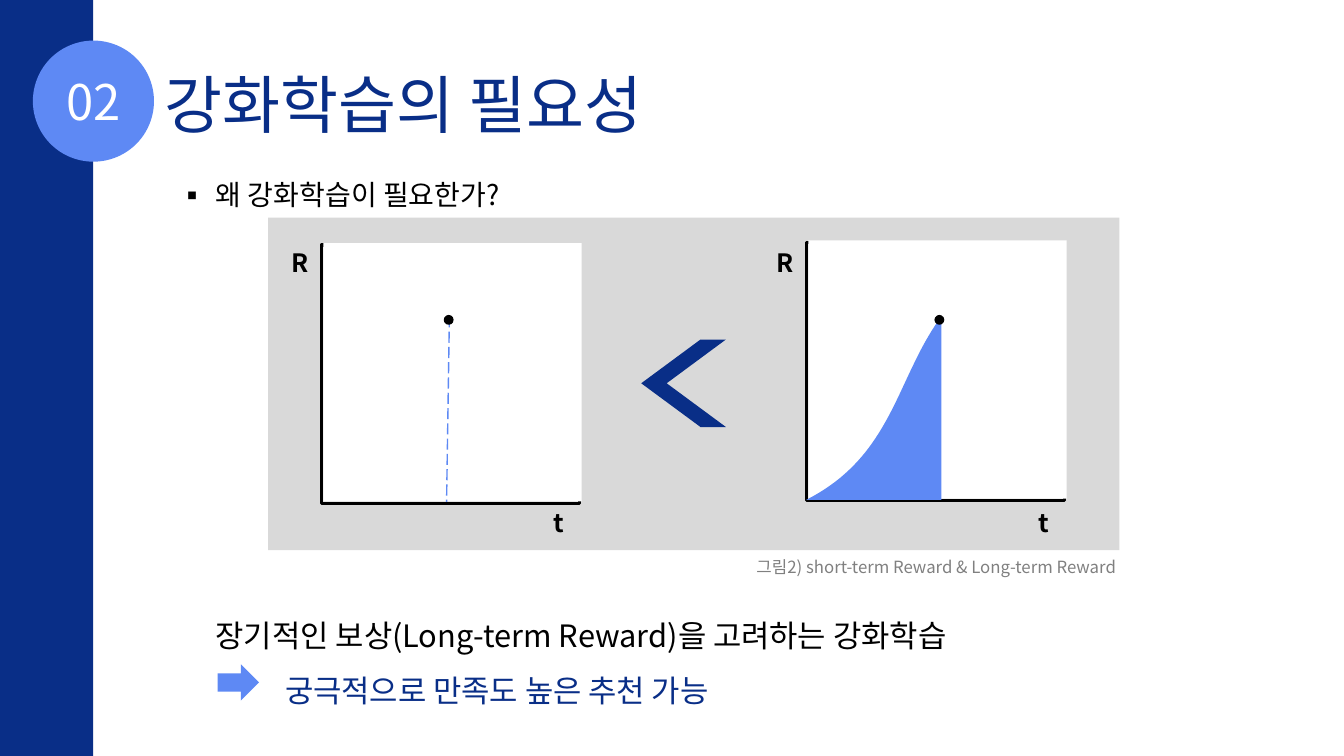
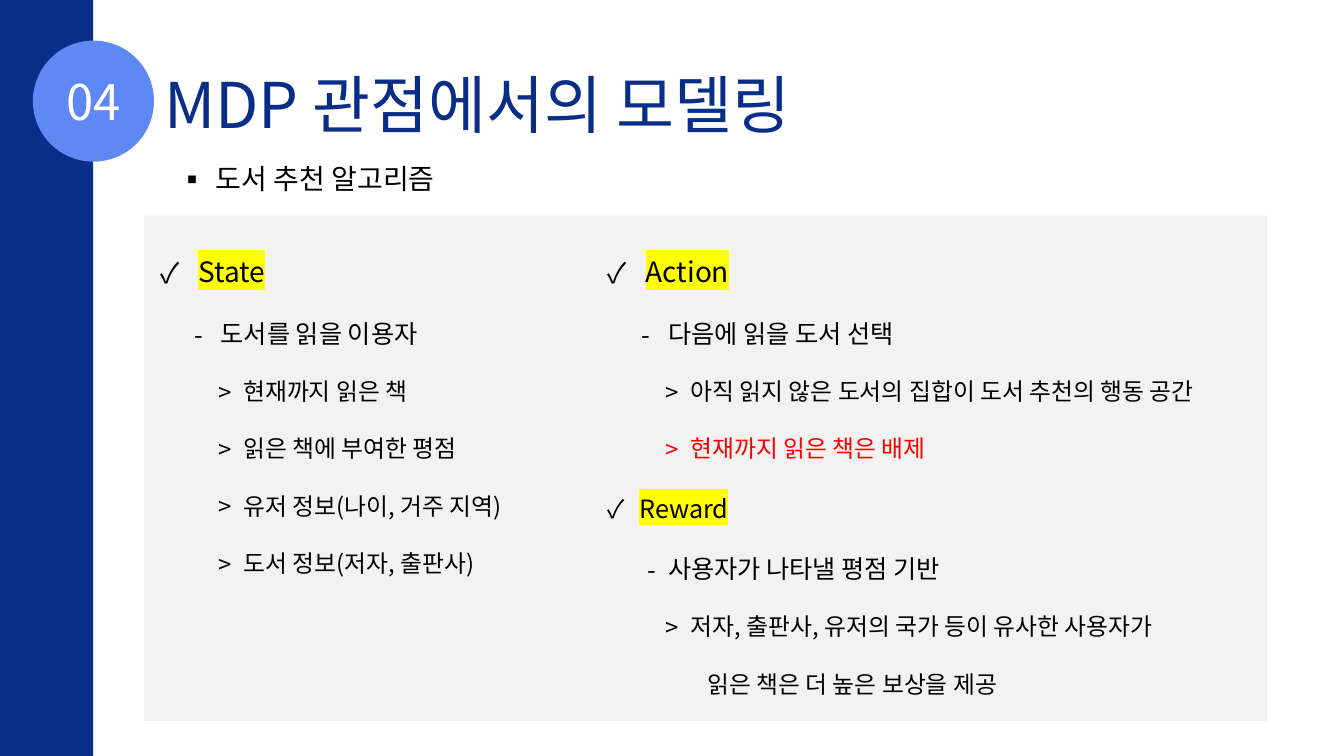
from lxml import etree
from pptx import Presentation
from pptx.dml.color import RGBColor
from pptx.enum.dml import MSO_LINE
from pptx.enum.shapes import MSO_CONNECTOR, MSO_SHAPE
from pptx.enum.text import MSO_ANCHOR, MSO_AUTO_SIZE, PP_ALIGN
from pptx.oxml.ns import qn
from pptx.util import Pt

NAVY = RGBColor(0x09, 0x2E, 0x87)
BLUE = RGBColor(0x5E, 0x89, 0xF4)
WHITE = RGBColor(0xFF, 0xFF, 0xFF)
BLACK = RGBColor(0x00, 0x00, 0x00)
RED = RGBColor(0xFF, 0x00, 0x00)
YELLOW = RGBColor(0xFF, 0xFF, 0x00)
CAPTION_GRAY = RGBColor(0x80, 0x80, 0x80)
FIGURE_GRAY = RGBColor(0xD9, 0xD9, 0xD9)
PANEL_GRAY = RGBColor(0xF2, 0xF2, 0xF2)

RECTANGLE, OVAL = MSO_SHAPE.RECTANGLE, MSO_SHAPE.OVAL
RIGHT_ARROW, CHEVRON = MSO_SHAPE.RIGHT_ARROW, MSO_SHAPE.CHEVRON
LEFT, CENTER, RIGHT = PP_ALIGN.LEFT, PP_ALIGN.CENTER, PP_ALIGN.RIGHT
TOP, MIDDLE = MSO_ANCHOR.TOP, MSO_ANCHOR.MIDDLE
FIXED, GROW = MSO_AUTO_SIZE.NONE, MSO_AUTO_SIZE.SHAPE_TO_FIT_TEXT

FONT = "Noto Sans CJK KR"
SLIDE_WIDTH, SLIDE_HEIGHT = 960, 540
CONTENT_LAYOUT, COMPARISON_LAYOUT = 1, 4

# Paragraph formats of the lists
TOPIC = dict(size=20, bullet="▪", margin=27, hanging=27)
HEADING = dict(size=20, bullet="✓", margin=27, hanging=27, highlight=YELLOW, spacing=2)
SMALL_HEADING = HEADING | dict(size=18, margin=22.5, hanging=22.5)
ITEM = dict(size=18, bullet="-", margin=43, hanging=19, spacing=2)
CLOSE_ITEM = ITEM | dict(hanging=14.5)
DETAIL = dict(size=17, bullet=">", margin=59, hanging=17.5, spacing=2)
CONTINUATION = dict(size=17, margin=71, spacing=2)


def add_text(frame, text, size=18, color=BLACK, bold=False, align=LEFT, spacing=1.0,
             bullet=None, margin=0, hanging=0, highlight=None):
    """Write text as the next paragraph of the frame."""
    paragraph = frame.paragraphs[-1]
    if paragraph.runs:
        paragraph = frame.add_paragraph()
    paragraph.alignment = align
    paragraph.line_spacing = spacing
    paragraph.space_before = Pt(0)
    properties = paragraph._p.get_or_add_pPr()
    properties.set("marL", str(Pt(margin)))
    properties.set("indent", str(-Pt(hanging)))
    if bullet:
        etree.SubElement(properties, qn("a:buFont")).set("typeface", FONT)
        etree.SubElement(properties, qn("a:buChar")).set("char", bullet)
    else:
        etree.SubElement(properties, qn("a:buNone"))

    run = paragraph.add_run()
    run.text = text
    run.font.size = Pt(size)
    run.font.bold = bold
    run.font.color.rgb = color
    run.font.name = FONT
    latin = run.font._element.find(qn("a:latin"))
    east_asian = etree.Element(qn("a:ea"))
    east_asian.set("typeface", FONT)
    latin.addnext(east_asian)
    if highlight:
        marker = etree.Element(qn("a:highlight"))
        etree.SubElement(marker, qn("a:srgbClr")).set("val", str(highlight))
        latin.addprevious(marker)


def bezier_points(start, control_1, control_2, end, steps=40):
    """Points along a cubic curve, both ends included."""
    points = []
    for step in range(steps + 1):
        t = step / steps
        weights = ((1 - t) ** 3, 3 * t * (1 - t) ** 2, 3 * t ** 2 * (1 - t), t ** 3)
        corners = (start, control_1, control_2, end)
        points.append(tuple(Pt(sum(w * corner[axis] for w, corner in zip(weights, corners)))
                            for axis in (0, 1)))
    return points


class Deck:
    """Holds the presentation, its style and the slide being built."""

    def __init__(self):
        self.presentation = Presentation()
        self.presentation.slide_width = Pt(SLIDE_WIDTH)
        self.presentation.slide_height = Pt(SLIDE_HEIGHT)
        self.slide = None

    def new_slide(self, number, title, layout):
        layouts = self.presentation.slide_layouts
        self.slide = self.presentation.slides.add_slide(layouts[layout])
        self.shape(RECTANGLE, 0, 0, 66.5, SLIDE_HEIGHT, fill=NAVY)
        badge = self.shape(OVAL, 23.5, 29, 86.5, 86.5, fill=BLUE)
        badge.text_frame.vertical_anchor = MIDDLE
        add_text(badge.text_frame, number, size=35, color=WHITE, align=CENTER)
        frame = self.placeholder(0, 110, 25, 564, 104.5, anchor=MIDDLE, fit=FIXED)
        add_text(frame, title, size=45, color=NAVY, spacing=0.9)

    def placeholder(self, index, left, top, width, height, anchor=TOP, fit=GROW):
        """Move a template placeholder and return its text frame."""
        shape = next(item for item in self.slide.placeholders
                     if item.placeholder_format.idx == index)
        shape.left, shape.top = Pt(left), Pt(top)
        shape.width, shape.height = Pt(width), Pt(height)
        return self.prepare(shape.text_frame, anchor, fit)

    def prepare(self, frame, anchor, fit):
        frame.word_wrap = True
        frame.vertical_anchor = anchor
        frame.auto_size = fit
        return frame

    def remove_empty_placeholders(self):
        for shape in list(self.slide.placeholders):
            if not shape.text_frame.text:
                shape.element.getparent().remove(shape.element)

    def text_box(self, left, top, width, height):
        box = self.slide.shapes.add_textbox(Pt(left), Pt(top), Pt(width), Pt(height))
        return self.prepare(box.text_frame, TOP, GROW)

    def list(self, frame, lines):
        for text, style in lines:
            add_text(frame, text, **style)

    def shape(self, kind, left, top, width, height, fill=None, line=None, line_width=1):
        shape = self.slide.shapes.add_shape(kind, Pt(left), Pt(top), Pt(width), Pt(height))
        self.paint(shape, fill, line, line_width)
        return shape

    def paint(self, shape, fill, line=None, line_width=1):
        shape.shadow.inherit = False
        if fill is None:
            shape.fill.background()
        else:
            shape.fill.solid()
            shape.fill.fore_color.rgb = fill
        if line is None:
            shape.line.fill.background()
        else:
            shape.line.color.rgb = line
            shape.line.width = Pt(line_width)

    def panel(self, left, top, width, height, fill):
        """A plain rectangle behind everything else on the slide."""
        panel = self.shape(RECTANGLE, left, top, width, height, fill=fill)
        panel.element.getparent().insert(2, panel.element)

    def dashed_line(self, start, end, color):
        line = self.slide.shapes.add_connector(
            MSO_CONNECTOR.STRAIGHT, *(Pt(value) for value in (*start, *end)))
        line.line.color.rgb = color
        line.line.width = Pt(1)
        line.line.dash_style = MSO_LINE.LONG_DASH
        etree.SubElement(line.element.spPr, qn("a:effectLst"))

    def area(self, points, fill):
        builder = self.slide.shapes.build_freeform(*points[0])
        builder.add_line_segments(points[1:], close=True)
        self.paint(builder.convert_to_shape(), fill)

    def plot(self, left, top):
        """Empty reward-over-time plot; a white square leaves two axes of its frame."""
        side, shift = 184.5, 1.4
        self.shape(RECTANGLE, left, top, side, side, line=BLACK, line_width=2.25)
        self.shape(RECTANGLE, left + shift, top - shift, side, side, fill=WHITE)
        for label, x, y in (("R", left - 31.5, 173), ("t", left + 153, 358.5)):
            add_text(self.text_box(x, y, 33, 29), label, bold=True, align=CENTER)

    def dot(self, center_x, center_y, size=6):
        self.shape(OVAL, center_x - size / 2, center_y - size / 2, size, size,
                   fill=BLACK, line=BLACK)


def build_need_slide(deck):
    deck.new_slide("02", "강화학습의 필요성", CONTENT_LAYOUT)
    add_text(deck.placeholder(1, 120, 111.5, 608, 40), "왜 강화학습이 필요한가?",
             spacing=1.5, **TOPIC)

    deck.panel(191.5, 155.5, 608, 237.5, FIGURE_GRAY)
    deck.plot(229.5, 175)
    deck.dashed_line((321, 226), (319, 358.5), BLUE)
    deck.dot(320.5, 228.5)

    deck.plot(576, 173)
    curve = bezier_points((672.5, 226), (640, 270), (638, 325.5), (576, 357))
    deck.area(curve + [(Pt(672.5), Pt(357))], BLUE)
    deck.dot(671, 228.5)

    less_than = deck.shape(CHEVRON, 458, 242.5, 60.5, 62.5, fill=NAVY)
    less_than.adjustments[0] = 0.7
    less_than.rotation = 180

    add_text(deck.text_box(402.5, 394, 402, 22),
             "그림2) short-term Reward & Long-term Reward",
             size=12, color=CAPTION_GRAY, align=RIGHT)
    conclusion = deck.text_box(147, 423.5, 644.5, 84)
    add_text(conclusion, "장기적인 보상(Long-term Reward)을 고려하는 강화학습",
             size=22, spacing=1.5)
    add_text(conclusion, "궁극적으로 만족도 높은 추천 가능",
             size=22, color=NAVY, spacing=1.5, margin=49.5)
    deck.shape(RIGHT_ARROW, 155.5, 474.5, 29.5, 26, fill=BLUE)


def build_modeling_slide(deck):
    deck.new_slide("04", "MDP 관점에서의 모델링", COMPARISON_LAYOUT)
    deck.panel(103, 154, 802, 361, PANEL_GRAY)
    add_text(deck.placeholder(1, 120, 111.5, 608, 31.5), "도서 추천 알고리즘", **TOPIC)
    deck.list(deck.placeholder(2, 107.5, 154, 414.5, 263.5), [
        ("State", HEADING),
        ("도서를 읽을 이용자", ITEM),
        ("현재까지 읽은 책", DETAIL),
        ("읽은 책에 부여한 평점", DETAIL),
        ("유저 정보(나이, 거주 지역)", DETAIL),
        ("도서 정보(저자, 출판사)", DETAIL),
    ])
    deck.list(deck.placeholder(4, 427, 154, 496, 346.5), [
        ("Action", HEADING),
        ("다음에 읽을 도서 선택", ITEM),
        ("아직 읽지 않은 도서의 집합이 도서 추천의 행동 공간", DETAIL),
        ("현재까지 읽은 책은 배제", DETAIL | dict(color=RED)),
        ("Reward", SMALL_HEADING),
        ("사용자가 나타낼 평점 기반", CLOSE_ITEM),
        ("저자, 출판사, 유저의 국가 등이 유사한 사용자가", DETAIL),
        ("읽은 책은 더 높은 보상을 제공", CONTINUATION),
    ])
    deck.remove_empty_placeholders()


def main():
    deck = Deck()
    build_need_slide(deck)
    build_modeling_slide(deck)
    deck.presentation.save("out.pptx")


if __name__ == "__main__":
    main()
